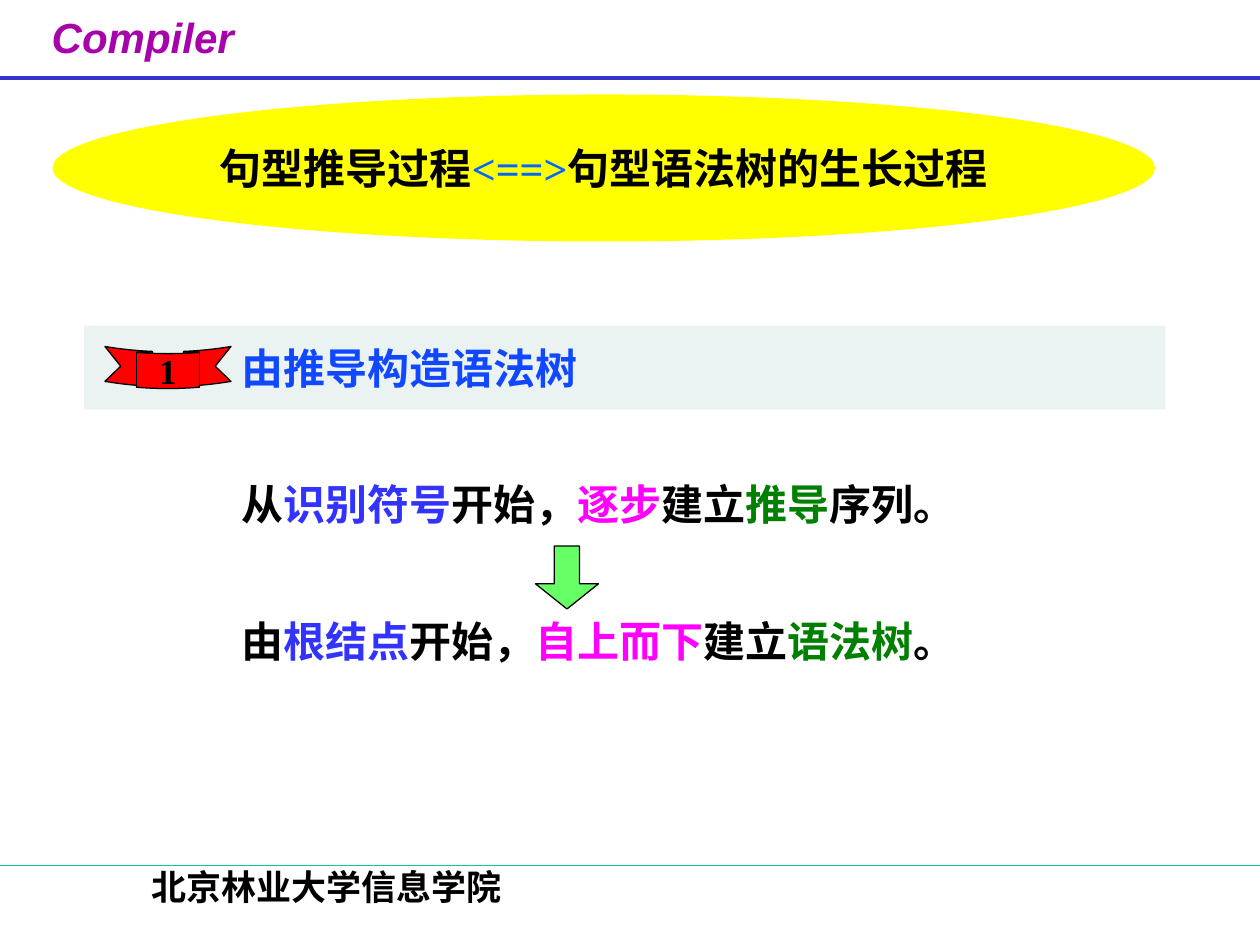
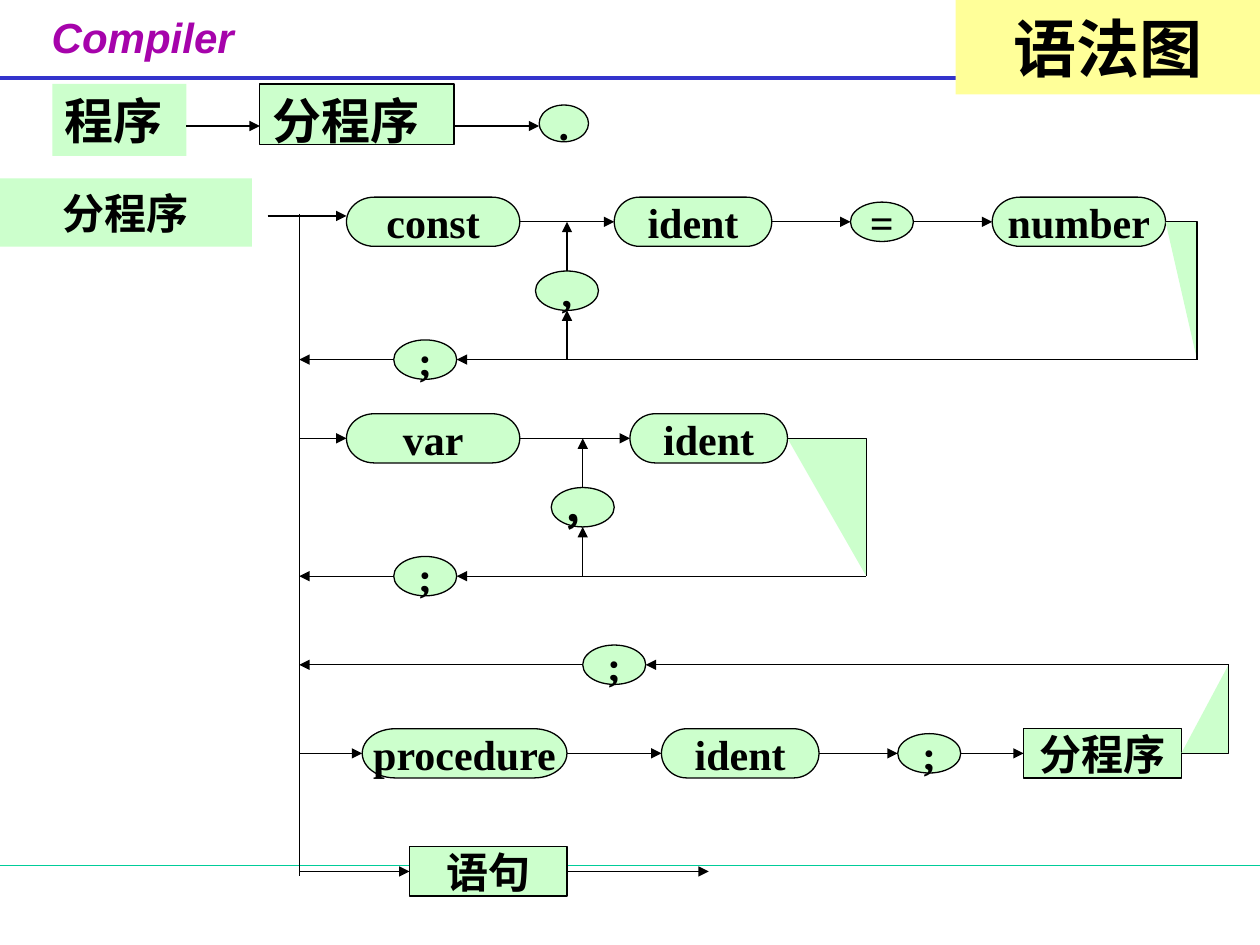
from dataclasses import dataclass
from lxml import etree
from pptx import Presentation
from pptx.dml.color import RGBColor
from pptx.enum.shapes import MSO_CONNECTOR as Connector, MSO_SHAPE as Preset
from pptx.enum.text import MSO_ANCHOR as Anchor, MSO_AUTO_SIZE as AutoSize, PP_ALIGN as Align
from pptx.oxml.ns import qn
from pptx.util import Inches, Pt


@dataclass(frozen=True)
class Theme:
    black: str = "000000"
    brand: str = "A603AB"
    header_line: str = "3333CC"
    footer_line: str = "00CC99"
    ellipse: str = "FFFF00"
    equivalence: str = "0066FF"
    band: str = "D9E6E6"
    heading: str = "0F48FF"
    ribbon: str = "FF0000"
    blue: str = "3333FF"
    magenta: str = "FF00FF"
    green: str = "008000"
    down_arrow: str = "66FF66"
    node: str = "CCFFCC"
    title_band: str = "FFFF99"
    serif: str = "Times New Roman"
    sans: str = "Arial"
    chinese: str = "Noto Sans CJK SC"
    title: int = 36
    large: int = 28
    normal: int = 24
    small: int = 20
    thin: float = 0.75
    thick: float = 2.25


THEME = Theme()
LEFT, BOTTOM, RIGHT = 1, 2, 3
NODE_ROWS, SYMBOL_ROWS, SYMBOL_COLUMNS = 5, 4, 4


@dataclass(frozen=True)
class Grid:
    left: int
    top: int
    column: float
    row: float

    def point(self, column, row):
        return round(self.left + column * self.column), round(self.top + row * self.row)

    def box(self, column, row, columns, rows):
        return (*self.point(column, row), round(columns * self.column), round(rows * self.row))

    def shift(self, column, row):
        return Grid(*self.point(column, row), self.column, self.row)


@dataclass(frozen=True)
class Production:
    row: int
    nodes: tuple
    entry: tuple = None
    loop_row: int = None
    separator_column: int = None
    corner_column: int = None
    comma: tuple = None


def rgb(colour):
    return RGBColor.from_string(colour)


def write(shape, *runs, size=THEME.normal, font=THEME.serif, colour=THEME.black, italic=False,
          align=Align.CENTER, anchor=Anchor.MIDDLE, wrap=False, indent=0.1):
    frame = shape.text_frame
    frame.auto_size = AutoSize.NONE
    frame.word_wrap = wrap
    frame.vertical_anchor = anchor
    frame.margin_left, frame.margin_right = Inches(indent), Inches(0.1)
    frame.margin_top = frame.margin_bottom = Inches(0.05)
    paragraph = frame.paragraphs[0]
    paragraph.alignment = align
    for item in runs:
        text, run_colour = item if isinstance(item, tuple) else (item, colour)
        run = paragraph.add_run()
        run.text = text
        run.font.size = Pt(size)
        run.font.name = font
        run.font.bold = True
        run.font.italic = italic
        run.font.color.rgb = rgb(run_colour)
    for properties in shape.element.iter(qn("a:rPr")):
        etree.SubElement(properties, qn("a:ea")).set("typeface", THEME.chinese)
    return shape


def paint(shape, fill, outlined=True):
    shape.shadow.inherit = False
    shape.fill.solid()
    shape.fill.fore_color.rgb = rgb(fill)
    if outlined:
        shape.line.color.rgb = rgb(THEME.black)
        shape.line.width = Pt(THEME.thin)
    else:
        shape.line.fill.background()
    return shape


def add_block(slide, preset, box, fill, outlined=True):
    return paint(slide.shapes.add_shape(preset, *box), fill, outlined)


def add_line(slide, start, end, colour=THEME.black, width=THEME.thin, arrow=False,
             begin_shape=None, end_shape=None):
    connector = slide.shapes.add_connector(Connector.STRAIGHT, *start, *end)
    connector.line.color.rgb = rgb(colour)
    connector.line.width = Pt(width)
    if begin_shape is not None:
        connector.begin_connect(begin_shape, RIGHT)
    if end_shape is not None:
        connector.end_connect(end_shape, LEFT)
    if arrow:
        line = connector.element.find(".//" + qn("a:ln"))
        etree.SubElement(line, qn("a:tailEnd")).set("type", "triangle")
    etree.SubElement(connector.element.spPr, qn("a:effectLst"))
    return connector


def place_title(slide, box, *runs, **text_format):
    title = slide.shapes.title
    title.left, title.top, title.width, title.height = box
    title.element.getparent().append(title.element)
    return write(title, *runs, **text_format)


def add_frame(slide, page):
    brand = slide.shapes.add_textbox(*page.box(7.5, 1, 46, 15))
    write(brand, "Compiler", font=THEME.sans, colour=THEME.brand, italic=True,
          align=Align.LEFT, anchor=Anchor.TOP)
    add_line(slide, page.point(0, 14.9), page.point(240, 14.9), THEME.header_line, THEME.thick)
    add_line(slide, page.point(0, 164.9), page.point(240, 164.9), THEME.footer_line)


def add_school(slide, page):
    school = slide.shapes.add_textbox(*page.box(12.5, 163.7, 99.4, 12))
    write(school, "北京林业大学信息学院", size=THEME.small, anchor=Anchor.TOP, wrap=True)


def add_equivalence(slide, grid):
    box = grid.box(0, 0, 210, 28)
    add_block(slide, Preset.OVAL, box, THEME.ellipse, outlined=False)
    place_title(slide, box, "句型推导过程", ("<==>", THEME.equivalence), "句型语法树的生长过程")


def add_section_band(slide, grid):
    band = add_block(slide, Preset.RECTANGLE, grid.box(0, 0, 206, 16), THEME.band, outlined=False)
    tint = band.element.find(".//" + qn("a:srgbClr"))
    etree.SubElement(tint, qn("a:alpha")).set("val", "50000")
    write(band, "由推导构造语法树", colour=THEME.heading, align=Align.LEFT, indent=1.25)
    ribbon = add_block(slide, Preset.CURVED_DOWN_RIBBON, grid.box(4, 4, 24, 8), THEME.ribbon)
    ribbon.adjustments[0] = 0.17
    write(ribbon, "1", size=THEME.small)


def add_derivation(slide, grid):
    sentences = (
        (grid.box(2, 0, 192, 12),
         ("从", ("识别符号", THEME.blue), "开始，", ("逐步", THEME.magenta), "建立",
          ("推导", THEME.green), "序列。")),
        (grid.box(0, 26, 196, 12),
         ("由", ("根结点", THEME.blue), "开始，", ("自上而下", THEME.magenta), "建立",
          ("语法树", THEME.green), "。")),
    )
    for box, runs in sentences:
        write(slide.shapes.add_textbox(*box), *runs, anchor=Anchor.TOP, wrap=True)
    arrow = add_block(slide, Preset.DOWN_ARROW, grid.box(86, 14, 12, 12), THEME.down_arrow)
    arrow.adjustments[0], arrow.adjustments[1] = 0.4, 0.4


def add_node(slide, grid, column, row, columns, text, preset):
    rows = SYMBOL_ROWS if preset == Preset.FLOWCHART_CONNECTOR else NODE_ROWS
    box = grid.box(column, row - rows / 2, columns, rows)
    return write(add_block(slide, preset, box, THEME.node), text)


def add_symbol(slide, grid, column, row, text):
    return add_node(slide, grid, column, row, SYMBOL_COLUMNS, text, Preset.FLOWCHART_CONNECTOR)


def add_arrow(slide, grid, start, end, **joins):
    return add_line(slide, grid.point(*start), grid.point(*end), arrow=True, **joins)


def add_loop(slide, grid, production, last_column):
    row, loop_row = production.row, production.loop_row
    corner, separator = production.corner_column, production.separator_column
    outline = slide.shapes.build_freeform(*grid.point(last_column, row), scale=1.0)
    outline.add_line_segments([grid.point(corner, row), grid.point(corner, loop_row)], close=False)
    paint(outline.convert_to_shape(), THEME.node)
    add_symbol(slide, grid, separator, loop_row, ";")
    add_arrow(slide, grid, (corner, loop_row), (separator + SYMBOL_COLUMNS, loop_row))
    add_arrow(slide, grid, (separator, loop_row), (0, loop_row))
    if production.comma:
        column, text = production.comma
        middle, centre = (row + loop_row) / 2, column + SYMBOL_COLUMNS / 2
        add_symbol(slide, grid, column, middle, text)
        add_arrow(slide, grid, (centre, loop_row), (centre, middle + SYMBOL_ROWS / 2))
        add_arrow(slide, grid, (centre, middle - SYMBOL_ROWS / 2), (centre, row))


def add_production(slide, grid, production):
    row = production.row
    previous, previous_right = None, 0
    for column, columns, text, preset in production.nodes:
        shape = add_node(slide, grid, column, row, columns, text, preset)
        joinable = None if preset == Preset.FLOWCHART_CONNECTOR else shape
        if previous_right == 0 and production.entry:
            add_arrow(slide, grid, production.entry, (column, production.entry[1]))
        else:
            add_arrow(slide, grid, (previous_right, row), (column, row),
                      begin_shape=previous, end_shape=joinable)
        previous, previous_right = joinable, column + columns
    if production.loop_row is None:
        add_arrow(slide, grid, (previous_right, row), (26, row), begin_shape=previous)
    else:
        add_loop(slide, grid, production, previous_right)


def add_block_diagram(slide, grid):
    word, symbol, process = (Preset.FLOWCHART_TERMINATOR, Preset.FLOWCHART_CONNECTOR,
                             Preset.FLOWCHART_PROCESS)
    productions = (
        Production(0, ((3, 11, "const", word), (20, 10, "ident", word),
                       (35, 4, "=", symbol), (44, 11, "number", word)),
                   entry=(-2, -0.6), loop_row=14, separator_column=6, corner_column=57,
                   comma=(15, ",")),
        Production(22, ((3, 11, "var", word), (21, 10, "ident", word)),
                   loop_row=36, separator_column=6, corner_column=36, comma=(16, "，")),
        Production(54, ((4, 13, "procedure", word), (23, 10, "ident", word),
                        (38, 4, ";", symbol), (46, 10, "分程序", process)),
                   loop_row=45, separator_column=18, corner_column=59),
        Production(66, ((7, 10, "语句", process),)),
    )
    add_line(slide, grid.point(0, -0.8), grid.point(0, 66.5))
    for production in productions:
        add_production(slide, grid, production)


def add_program_row(slide, grid):
    program = add_block(slide, Preset.RECTANGLE, grid.box(0, 0, 25.5, 13.7), THEME.node,
                        outlined=False)
    block = add_block(slide, Preset.RECTANGLE, grid.box(39.5, 0, 37, 11.5), THEME.node)
    for shape, text in ((program, "程序"), (block, "分程序")):
        write(shape, text, size=THEME.large, align=Align.LEFT, anchor=Anchor.TOP, wrap=True)
    stop = add_block(slide, Preset.FLOWCHART_CONNECTOR, grid.box(92.7, 4, 9.4, 7), THEME.node)
    write(stop, ".")
    for start, end in ((25.5, 39.5), (76.5, 92.7)):
        add_arrow(slide, grid, (start, 8), (end, 8))


def add_block_label(slide, grid):
    label = add_block(slide, Preset.RECTANGLE, grid.box(0, 0, 48, 13), THEME.node, outlined=False)
    write(label, "分程序", font=THEME.chinese)


def build_derivation_slide(slide, page):
    add_frame(slide, page)
    add_school(slide, page)
    add_equivalence(slide, page.shift(10, 18))
    add_section_band(slide, page.shift(16, 62))
    add_derivation(slide, page.shift(16, 90))


def build_diagram_slide(slide, page):
    add_frame(slide, page)
    origin = page.point(57, 42.25)
    add_block_diagram(slide, Grid(*origin, page.column * 3, page.row * 15 / 8))
    add_block_label(slide, page.shift(0, 34))
    add_program_row(slide, page.shift(10, 16))
    title = place_title(slide, page.box(182, 0, 58, 18), "语法图",
                        size=THEME.title, font=THEME.chinese)
    title.fill.solid()
    title.fill.fore_color.rgb = rgb(THEME.title_band)


def main():
    presentation = Presentation()
    presentation.slide_width, presentation.slide_height = Inches(10), Inches(7.5)
    page = Grid(0, 0, presentation.slide_width / 240, presentation.slide_height / 180)
    title_only = presentation.slide_layouts.get_by_name("Title Only")
    for build in (build_derivation_slide, build_diagram_slide):
        build(presentation.slides.add_slide(title_only), page)
    presentation.save("out.pptx")


if __name__ == "__main__":
    main()
